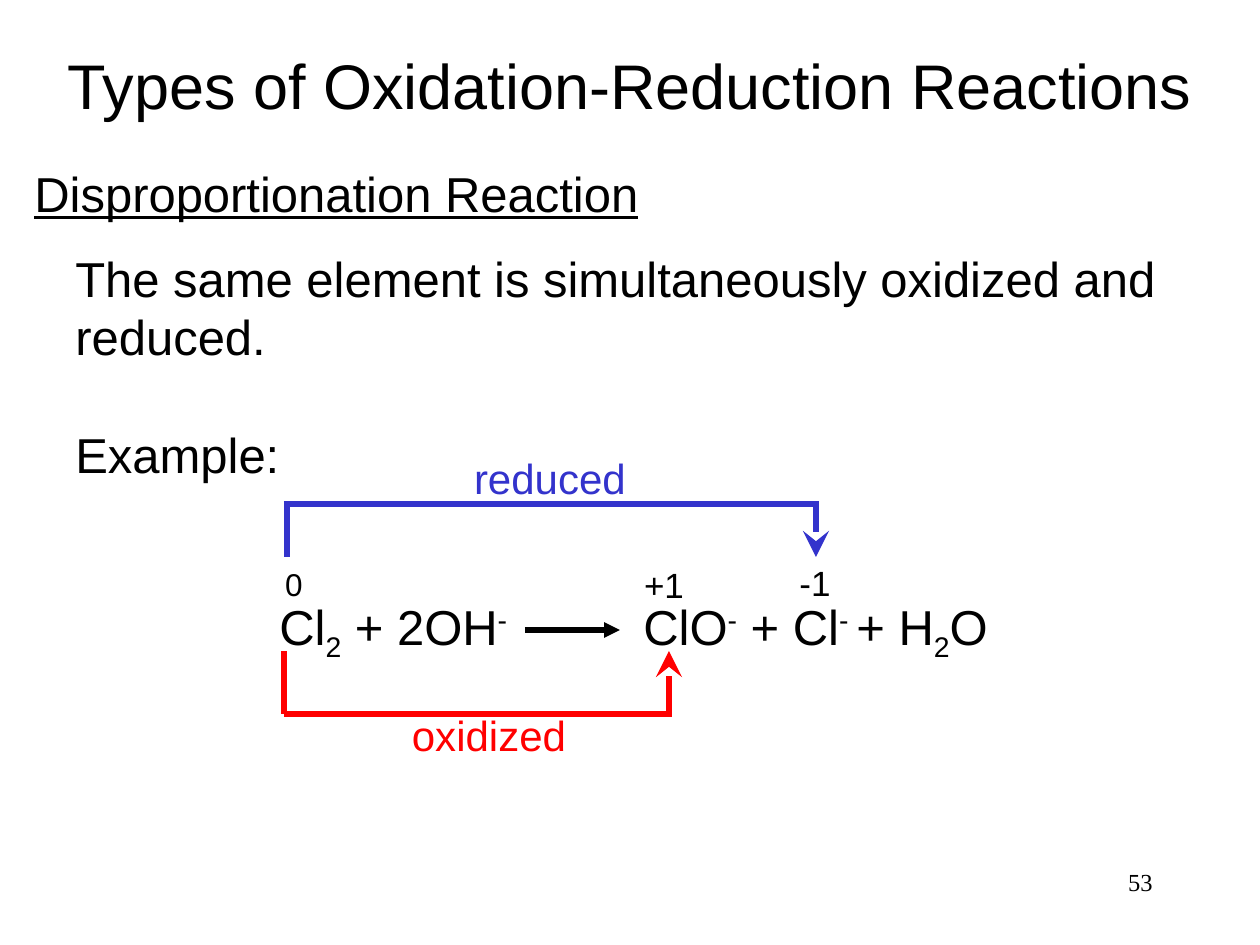
from dataclasses import dataclass

from lxml.etree import SubElement
from pptx import Presentation
from pptx.dml.color import RGBColor
from pptx.enum.shapes import MSO_CONNECTOR
from pptx.enum.text import MSO_ANCHOR, PP_ALIGN
from pptx.oxml.ns import qn
from pptx.util import Emu, Pt

PX_PER_INCH = 126


def px(length):
    return Emu(round(length * 914400 / PX_PER_INCH))


@dataclass(frozen=True)
class Theme:
    font: str = "Arial"
    number_font: str = "Times New Roman"
    ink: str = "000000"
    reduced: str = "3333CC"
    oxidized: str = "FF0000"
    title_size: int = 36
    body_size: int = 28
    label_size: int = 24
    charge_size: int = 20
    zero_size: int = 18
    number_size: int = 14
    leading: float = 1.2
    line_width: int = 3


class SlideBuilder:
    def __init__(self, presentation, theme):
        self.theme = theme
        self.slide = presentation.slides.add_slide(presentation.slide_layouts[5])

    def style_font(self, font, size, color, name=None):
        font.name = name or self.theme.font
        font.size = Pt(size)
        font.color.rgb = RGBColor.from_string(color)

    def title(self, text, box):
        shape = self.slide.shapes.title
        shape.left, shape.top, shape.width, shape.height = map(px, box)
        frame = shape.text_frame
        frame.text = text
        frame.vertical_anchor = MSO_ANCHOR.MIDDLE
        paragraph = frame.paragraphs[0]
        paragraph.alignment = PP_ALIGN.CENTER
        self.style_font(paragraph.runs[0].font, self.theme.title_size, self.theme.ink)

    def text(self, text, box, size, color=None, align=PP_ALIGN.LEFT, name=None):
        frame = self.slide.shapes.add_textbox(*map(px, box)).text_frame
        frame.word_wrap = align != PP_ALIGN.CENTER
        frame.text = text
        for paragraph in frame.paragraphs:
            paragraph.alignment = align
            paragraph.line_spacing = Pt(size * self.theme.leading)
            for run in paragraph.runs:
                self.style_font(run.font, size, color or self.theme.ink, name)
        return frame

    def formula(self, parts, box):
        size = self.theme.body_size
        paragraph = self.text("", box, size).paragraphs[0]
        for text, baseline in parts:
            run = paragraph.add_run()
            run.text = text
            self.style_font(run.font, size, self.theme.ink)
            if baseline:
                run.font._element.set("baseline", str(baseline * 1000))

    def line(self, start, end, color, arrowhead=None, head_size="med"):
        connector = self.slide.shapes.add_connector(
            MSO_CONNECTOR.STRAIGHT, *map(px, start + end))
        connector.line.color.rgb = RGBColor.from_string(color)
        connector.line.width = Pt(self.theme.line_width)
        if arrowhead:
            SubElement(connector.line._get_or_add_ln(), qn("a:tailEnd"),
                       type=arrowhead, w=head_size, len=head_size)
        SubElement(connector._element.spPr, qn("a:effectLst"))

    def bracket(self, bar_start, bar_end, stem_x, arrow_x, bar_y, tip_y, color):
        self.line((bar_start, bar_y), (bar_end, bar_y), color)
        self.line((stem_x, bar_y), (stem_x, tip_y), color)
        self.line((arrow_x, bar_y), (arrow_x, tip_y), color, "stealth", "lg")


def main():
    presentation = Presentation()
    presentation.slide_width = px(1260)
    presentation.slide_height = px(945)
    theme = Theme()
    builder = SlideBuilder(presentation, theme)
    center = PP_ALIGN.CENTER
    subscript, superscript = -25, 30

    builder.title("Types of Oxidation-Reduction Reactions", (42, 21, 1176, 126))
    heading = builder.text("Disproportionation Reaction", (22, 157, 640, 72),
                           theme.body_size)
    heading.paragraphs[0].runs[0].font.underline = True
    body = builder.text(
        "The same element is simultaneously oxidized and reduced.\nExample:",
        (63, 242, 1108, 248), theme.body_size)
    body.paragraphs[1].space_before = Pt(theme.body_size * theme.leading)

    builder.formula([("Cl", 0), ("2", subscript), (" + 2OH", 0), ("-", superscript)],
                    (267, 598, 260, 79))
    builder.formula([("ClO", 0), ("-", superscript), (" + Cl", 0), ("- ", superscript),
                     ("+ H", 0), ("2", subscript), ("O", 0)], (631, 598, 380, 79))
    builder.line((525, 630), (620, 630), theme.ink, "triangle")

    for charge, box, size in (
        ("0", (269, 559, 50, 50), theme.zero_size),
        ("+1", (624, 557, 80, 55), theme.charge_size),
        ("-1", (775, 555, 80, 55), theme.charge_size),
    ):
        builder.text(charge, box, size, align=center)

    builder.bracket(284, 819, 287, 816, 504, 557, theme.reduced)
    builder.bracket(284, 672, 284, 669, 714, 651, theme.oxidized)
    for label, box, color in (
        ("reduced", (450, 446, 200, 63), theme.reduced),
        ("oxidized", (389, 703, 200, 63), theme.oxidized),
    ):
        builder.text(label, box, theme.label_size, color, center)
    builder.text("53", (903, 861, 262, 63), theme.number_size,
                 align=PP_ALIGN.RIGHT, name=theme.number_font)

    presentation.save("out.pptx")


if __name__ == "__main__":
    main()
